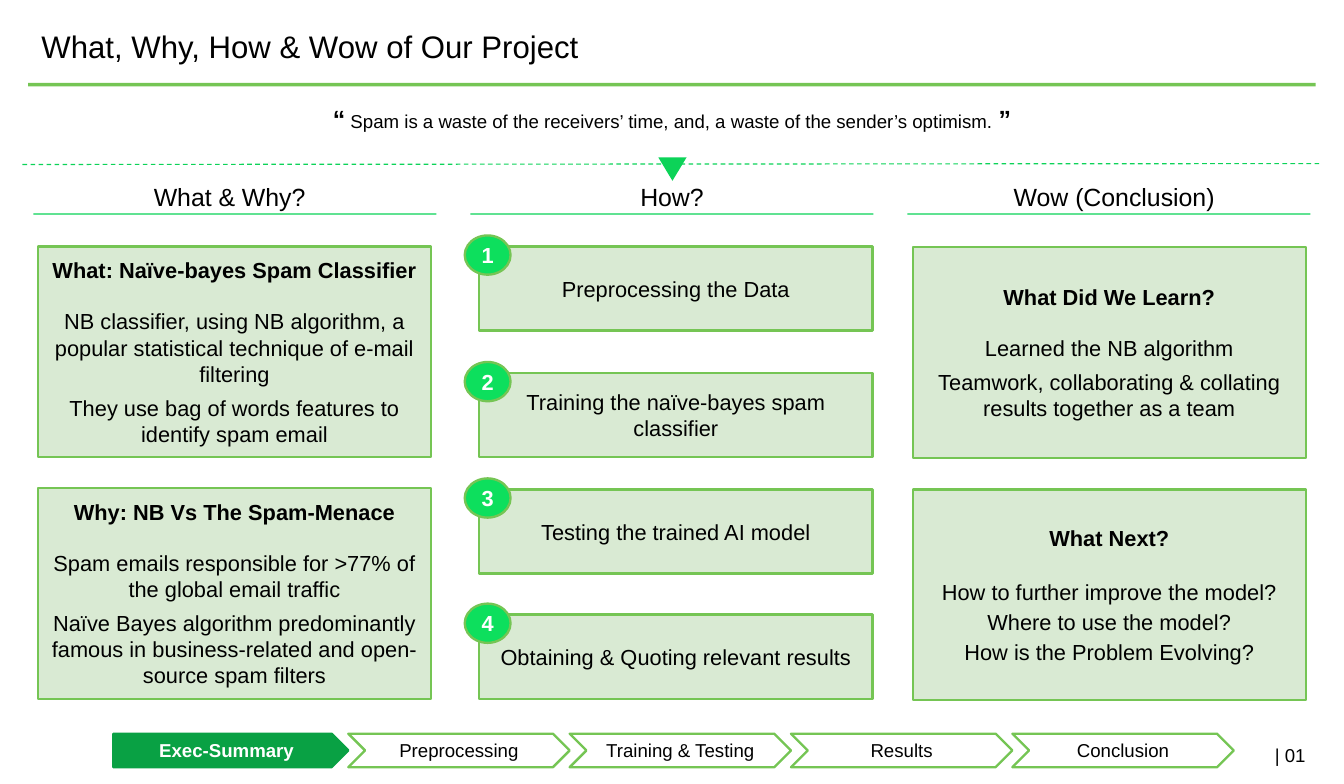
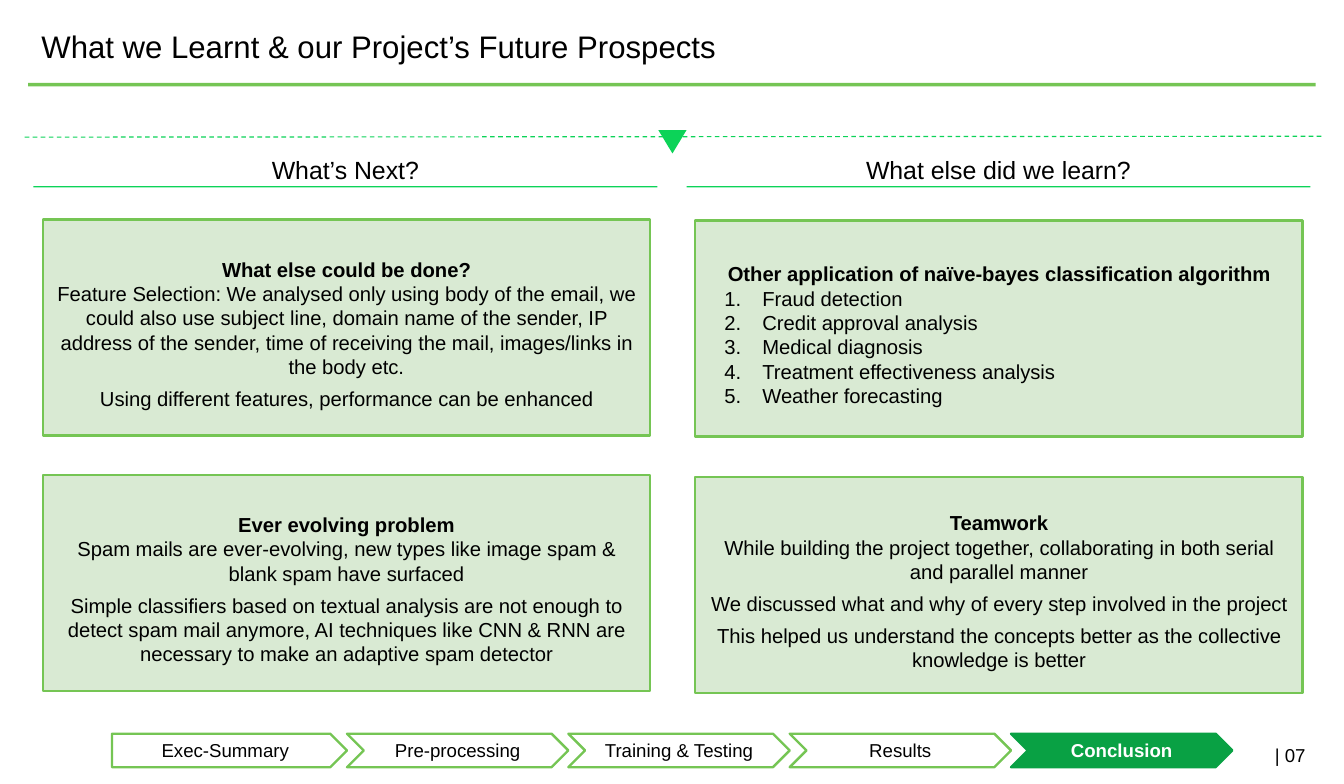
from dataclasses import dataclass
from lxml import etree
from pptx import Presentation, util as u
from pptx.dml.color import RGBColor
from pptx.enum import dml, shapes, text
from pptx.oxml import ns


@dataclass(frozen=True)
class Theme:
    font: str = "Arial"
    ink: str = "000000"
    paper: str = "FFFFFF"
    leaf: str = "75C554"
    bright: str = "0CD358"
    badge: str = "0DDF5D"
    active: str = "09A144"
    card: str = "D9EAD3"
    title: int = 20
    heading: int = 16
    step: int = 14
    small: int = 12


theme = Theme()
FORM = shapes.MSO_SHAPE
ALIGN = text.PP_ALIGN
HEIGHT_OF_GAP = 16


def place(slide, form, box, fill=None, line=None):
    left, top, width, height = map(u.Cm, box)
    if form is None:
        return slide.shapes.add_textbox(left, top, width, height)
    shape = slide.shapes.add_shape(form, left, top, width, height)
    shape.shadow.inherit = False
    shape.fill.solid()
    shape.fill.fore_color.rgb = RGBColor.from_string(fill)
    if line:
        shape.line.color.rgb = RGBColor.from_string(line)
        shape.line.width = u.Pt(1.5)
    else:
        shape.line.fill.background()
    return shape


def write(shape, lines, size, color=theme.ink, bold=False, align=ALIGN.CENTER,
          inset=0.25, anchor=text.MSO_ANCHOR.MIDDLE):
    frame = shape.text_frame
    frame.text = "\n".join(lines)
    frame.word_wrap = True
    frame.vertical_anchor = anchor
    frame.margin_left = frame.margin_right = u.Cm(inset)
    frame.margin_top = frame.margin_bottom = u.Cm(inset)
    for paragraph in frame.paragraphs:
        paragraph.alignment = align
        for run in paragraph.runs:
            run.font.name = theme.font
            run.font.size = u.Pt(size)
            run.font.bold = bold
            run.font.color.rgb = RGBColor.from_string(color)
    return frame.paragraphs


pages = [
    dict(
        title="What, Why, How & Wow of Our Project", number="| 01",
        quote=["“", " Spam is a waste of the receivers’ time, and, a waste of the sender’s optimism. ", "”"],
        stages=["Exec-Summary", "Preprocessing", "Training & Testing", "Results", "Conclusion"],
        active=0, stage_left=2.57, band_top=3.73, band_left=0.51,
        columns=["What & Why?", "How?", "Wow (Conclusion)"],
        column=(0.51, 9.4, 10.03), underline=(0.76, 9.14, 9.91),
        card_size=(8.92, 4.78), text_size=14, heading_spacing=None, gap=HEIGHT_OF_GAP,
        cards=[
            (0.86, 5.59, "body", [
                "What: Naïve-bayes Spam Classifier",
                "NB classifier, using NB algorithm, a popular statistical technique of e-mail filtering",
                "They use bag of words features to identify spam email"]),
            (0.86, 11.07, "body", [
                "Why: NB Vs The Spam-Menace",
                "Spam emails responsible for >77% of the global email traffic",
                "Naïve Bayes algorithm predominantly famous in business-related and open-source spam filters"]),
            (20.7, 5.61, "body", [
                "What Did We Learn?",
                "Learned the NB algorithm",
                "Teamwork, collaborating & collating results together as a team"]),
            (20.7, 11.1, "questions", [
                "What Next?",
                "How to further improve the model?",
                "Where to use the model?",
                "How is the Problem Evolving?"]),
        ],
        steps=[(5.59, "Preprocessing the Data"),
               (8.46, "Training the naïve-bayes spam classifier"),
               (11.1, "Testing the trained AI model"),
               (13.94, "Obtaining & Quoting relevant results")],
    ),
    dict(
        title="What we Learnt & our Project’s Future Prospects", number="| 07",
        quote=[],
        stages=["Exec-Summary", "Pre-processing", "Training & Testing", "Results", "Conclusion"],
        active=4, stage_left=2.54, band_top=3.11, band_left=0.56,
        columns=["What’s Next?", "What else did we learn?"],
        column=(0.76, 14.15, 14.81), underline=(0.76, 14.15, 14.81),
        card_size=(13.77, 4.9), text_size=13, heading_spacing=1.5, gap=0,
        cards=[
            (0.97, 4.98, "body", [
                "What else could be done?",
                "Feature Selection: We analysed only using body of the email, we could also use subject line, "
                "domain name of the sender, IP address of the sender, time of receiving the mail, "
                "images/links in the body etc.",
                "Using different features, performance can be enhanced"]),
            (0.97, 10.77, "body", [
                "Ever evolving problem",
                "Spam mails are ever-evolving, new types like image spam & blank spam have surfaced",
                "Simple classifiers based on textual analysis are not enough to detect spam mail anymore, "
                "AI techniques like CNN & RNN are necessary to make an adaptive spam detector"]),
            (15.77, 5.0, "numbered", [
                "Other application of naïve-bayes classification algorithm",
                "Fraud detection",
                "Credit approval analysis",
                "Medical diagnosis",
                "Treatment effectiveness analysis",
                "Weather forecasting"]),
            (15.77, 10.82, "body", [
                "Teamwork",
                "While building the project together, collaborating in both serial and parallel manner",
                "We discussed what and why of every step involved in the project",
                "This helped us understand the concepts better as the collective knowledge is better"]),
        ],
        steps=[],
    ),
]

deck = Presentation()
deck.slide_width, deck.slide_height = u.Cm(30.48), u.Cm(17.78)

for page in pages:
    slide = deck.slides.add_slide(deck.slide_layouts[6])

    title = place(slide, None, (0.69, 0.38, 29.16, 1.52))
    write(title, [page["title"]], theme.title, align=ALIGN.LEFT, anchor=text.MSO_ANCHOR.TOP)
    place(slide, FORM.RECTANGLE, (0.64, 1.88, 29.2, 0.08), theme.leaf)
    number = place(slide, None, (28.47, 16.64, 1.37, 0.89))
    write(number, [page["number"]], theme.small, align=ALIGN.RIGHT, inset=0.23,
          anchor=text.MSO_ANCHOR.TOP)

    for index, label in enumerate(page["stages"]):
        active = index == page["active"]
        left = page["stage_left"] + (0.31 + 5.02 * index if index else 0)
        stage = place(slide, FORM.CHEVRON if index else FORM.PENTAGON,
                      (left, 16.64, 5.02 if index else 5.33, 0.76),
                      theme.active if active else theme.paper,
                      theme.active if active else theme.leaf)
        write(stage, [label], theme.small, theme.paper if active else theme.ink, active, inset=0.28)

    band_top = page["band_top"]
    divider = slide.shapes.add_connector(
        shapes.MSO_CONNECTOR.STRAIGHT, u.Cm(page["band_left"]), u.Cm(band_top),
        u.Cm(page["band_left"] + 29.46), u.Cm(band_top - 0.02))
    divider.line.color.rgb = RGBColor.from_string(theme.bright)
    divider.line.width = u.Pt(0.75)
    divider.line.dash_style = dml.MSO_LINE.DASH
    etree.SubElement(divider._element.spPr, ns.qn("a:effectLst"))
    pointer = place(slide, FORM.ISOSCELES_TRIANGLE, (14.93, band_top - 0.16, 0.64, 0.53), theme.bright)
    pointer.rotation = 180

    for index, heading in enumerate(page["columns"]):
        left, width, pitch = page["column"]
        column = place(slide, None, (left + pitch * index, band_top + 0.1, width, 0.89))
        write(column, [heading], theme.heading, inset=0.3, anchor=text.MSO_ANCHOR.TOP)
        left, width, pitch = page["underline"]
        place(slide, FORM.RECTANGLE, (left + pitch * index, band_top + 1.11, width, 0.03), theme.bright)

    if page["quote"]:
        quote = place(slide, None, (0.64, 2.06, 29.2, 1.35))
        sentence = write(quote, [page["quote"][0]], theme.heading, bold=True, inset=0.3,
                         anchor=text.MSO_ANCHOR.TOP)[0]
        for part, size, bold in zip(page["quote"][1:], (theme.small, theme.heading), (False, True)):
            run = sentence.add_run()
            run.text = part
            run.font.name, run.font.size, run.font.bold = theme.font, u.Pt(size), bold
            run.font.color.rgb = RGBColor.from_string(theme.ink)

    for left, top, style, lines in page["cards"]:
        card = place(slide, FORM.RECTANGLE, (left, top, *page["card_size"]), theme.card, theme.leaf)
        heading, *body = write(card, lines, page["text_size"])
        heading.runs[0].font.bold = True
        heading.line_spacing = page["heading_spacing"]
        heading.space_after = u.Pt(page["gap"])
        for index, paragraph in enumerate(body):
            if style == "questions":
                paragraph.line_spacing = 1.15
            elif style == "body" and index:
                paragraph.space_before = u.Pt(5)
            elif style == "numbered":
                paragraph.alignment = ALIGN.LEFT
                properties = paragraph._p.get_or_add_pPr()
                properties.set("marL", str(u.Cm(1.27)))
                properties.set("indent", str(u.Cm(-0.86)))
                etree.SubElement(properties, ns.qn("a:buAutoNum"), type="arabicPeriod")

    for index, (top, label) in enumerate(page["steps"], 1):
        step = place(slide, FORM.RECTANGLE, (10.87, top, 8.92, 1.91), theme.card, theme.leaf)
        write(step, [label], theme.step)
        badge = place(slide, FORM.OVAL, (10.54, top - 0.25, 1.04, 0.89), theme.badge, theme.leaf)
        write(badge, [str(index)], theme.step, theme.paper, True, inset=0)

deck.save("out.pptx")
